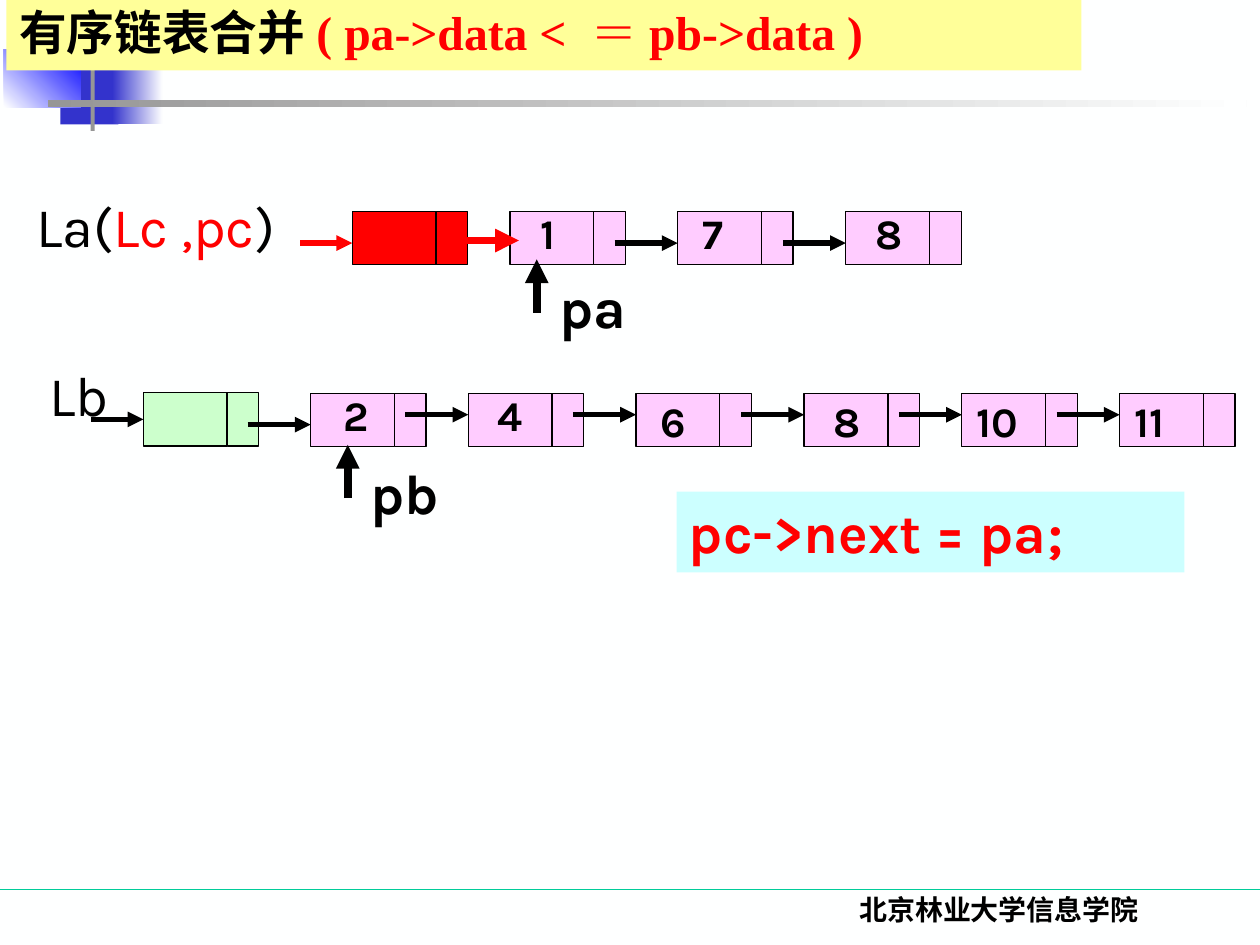
import pptx
import pptx.util
import pptx.oxml.ns
from lxml import etree
from pptx.dml.color import RGBColor
from pptx.enum.shapes import MSO_CONNECTOR, MSO_SHAPE
from pptx.enum.text import MSO_ANCHOR, MSO_AUTO_SIZE, PP_ALIGN
from pptx.util import Cm, Pt

COLORS = {
    "paper": "FEFFFF", "black": "000000", "red": "FF0000", "pink": "FFCCFF",
    "mint": "CCFFCC", "cyan": "CCFFFF", "yellow": "FFFF99", "navy": "3333CC",
    "blue": "0000FF", "gray": "969696", "green": "00CC99",
}
DATA_W, NEXT_W, NODE_H = 1.69, 0.64, 1.07
LINK = 1.27
LA_Y, LB_Y = 4.26, 7.94


def rgb(name):
    return RGBColor.from_string(COLORS[name])


def add_rect(s, x, y, w, h, fill, fade_to=None, angle=0, border=False):
    sp = s.shapes.add_shape(MSO_SHAPE.RECTANGLE, Cm(x), Cm(y), Cm(w), Cm(h))
    sp.shadow.inherit = False
    if fade_to:
        sp.fill.gradient()
        sp.fill.gradient_angle = angle
        for stop, color in zip(sp.fill.gradient_stops, (fill, fade_to)):
            stop.color.rgb = rgb(color)
    else:
        sp.fill.solid()
        sp.fill.fore_color.rgb = rgb(fill)
    if border:
        sp.line.color.rgb = rgb("black")
        sp.line.width = Pt(0.75)
    else:
        sp.line.fill.background()
    return sp


def add_line(s, x1, y1, x2, y2, color="black", width=3, arrow=True):
    c = s.shapes.add_connector(MSO_CONNECTOR.STRAIGHT, Cm(x1), Cm(y1), Cm(x2), Cm(y2))
    c.line.color.rgb = rgb(color)
    c.line.width = Pt(width)
    if arrow:
        etree.SubElement(c.line._get_or_add_ln(), pptx.oxml.ns.qn("a:tailEnd"), type="triangle")
    etree.SubElement(c.element.spPr, pptx.oxml.ns.qn("a:effectLst"))
    return c


def set_text(tf, runs, size, bold, font=None):
    p = tf.paragraphs[0]
    p.font.size = Pt(size)
    p.font.bold = bold
    if font:
        p.font.name = font
    for text, color in runs:
        r = p.add_run()
        r.text = text
        r.font.color.rgb = rgb(color)
    return p


def add_text(s, x, y, w, h, runs, size=32, bold=True, font="Karla", wrap=False):
    tf = s.shapes.add_textbox(Cm(x), Cm(y), Cm(w), Cm(h)).text_frame
    tf.word_wrap = wrap
    tf.auto_size = MSO_AUTO_SIZE.SHAPE_TO_FIT_TEXT
    return set_text(tf, runs, size, bold, font)


def add_node(s, x, y, fill):
    data = add_rect(s, x, y, DATA_W, NODE_H, fill, border=True)
    add_rect(s, x + DATA_W, y, NEXT_W, NODE_H, fill, border=True)
    return data


def add_values(s, y, nodes):
    for x, text_x, text_y, value in nodes:
        add_node(s, x, y, "pink")
        add_text(s, text_x, text_y, 0.5 + 0.49 * len(value), 1.27, [(value, "black")], 24)


def add_links(s, y, targets):
    for x in targets:
        add_line(s, x - LINK, y, x, y)


def add_pointer(s, x, tip_y, label, label_x, label_y):
    add_line(s, x, tip_y + 1.07, x, tip_y, width=4.5)
    add_text(s, label_x, label_y, 1.92, 1.63, [(label, "black")])


def add_decoration(s):
    add_line(s, 0, 17.93, 25.4, 17.93, "green", 0.75, arrow=False)
    add_rect(s, 1.22, 1.19, 1.17, 1.32, "navy")
    add_rect(s, 2.26, 1.19, 1.02, 1.32, "navy", "paper")
    add_rect(s, 0.08, 0.99, 1.55, 1.17, "paper", "blue", 45)
    add_rect(s, 1.83, -0.28, 0.08, 2.92, "gray")
    add_rect(s, 0.97, 2.01, 24.16, 0.15, "gray", "paper")
    p = add_text(s, 14.88, 17.86, 10.52, 1.27, [("北京林业大学信息学院", "black")],
                 16, font="Times New Roman", wrap=True)
    p.alignment = PP_ALIGN.CENTER


def format_title(s):
    title = s.shapes.title
    title.element.getparent().append(title.element)
    title.left, title.top, title.width, title.height = Cm(0.13), Cm(0), Cm(21.67), Cm(1.42)
    title.fill.solid()
    title.fill.fore_color.rgb = rgb("yellow")
    tf = title.text_frame
    tf.auto_size = MSO_AUTO_SIZE.NONE
    tf.vertical_anchor = MSO_ANCHOR.MIDDLE
    p = set_text(tf, [("有序链表合并", "black"), ("( pa->data < ＝pb->data )", "red")], 27.2, True)
    p.alignment = PP_ALIGN.LEFT
    p.line_spacing = 0.9
    for r, font in zip(p.runs, ("Noto Sans CJK SC", "Times New Roman")):
        r.font.name = font
        etree.SubElement(r.font._element, pptx.oxml.ns.qn("a:ea"), typeface=font)


def add_list_la(s):
    add_text(s, 0.48, 3.73, 6.25, 1.63,
             [("La(", "black"), ("Lc ,pc", "red"), (")", "black")], bold=False, wrap=True)
    add_line(s, 6.05, 4.9, 7.1, 4.9, "red")
    add_node(s, 7.1, LA_Y, "red")
    add_values(s, LA_Y, [(10.28, 10.64, 4.06, "1"), (13.66, 13.92, 4.06, "7"),
                         (17.05, 17.4, 4.06, "8")])
    add_line(s, 9.19, 4.85, 10.46, 4.85, "red", 4.5)
    add_links(s, 4.9, (13.66, 17.05))
    add_pointer(s, 10.82, 5.23, "pa", 11.02, 5.36)


def add_list_lb(s):
    nodes = [(6.26, 6.68, 7.72, "2"), (9.44, 9.78, 7.72, "4"), (12.82, 13.06, 7.85, "6"),
             (16.21, 16.56, 7.85, "8"), (19.39, 19.43, 7.85, "10"), (22.57, 22.63, 7.85, "11")]
    add_values(s, LB_Y, nodes)
    add_links(s, 8.36, [node[0] for node in nodes[1:]])
    head = add_node(s, 2.89, 7.92, "mint")
    add_links(s, 8.56, [nodes[0][0]])
    entry_y = 7.92 + NODE_H / 2
    add_line(s, 1.83, entry_y, 2.89, entry_y).end_connect(head, 1)
    add_text(s, 0.74, 7.14, 1.78, 1.63, [("Lb", "black")], bold=False)
    add_pointer(s, 7.01, 8.97, "pb", 7.21, 9.12)


def add_statement(s):
    sp = add_rect(s, 13.64, 9.91, 10.24, 1.63, "cyan")
    tf = sp.text_frame
    tf.word_wrap = True
    tf.auto_size = MSO_AUTO_SIZE.SHAPE_TO_FIT_TEXT
    tf.vertical_anchor = MSO_ANCHOR.TOP
    p = set_text(tf, [("pc->next = pa;", "red")], 32, True, "Karla")
    p.alignment = PP_ALIGN.LEFT


def main():
    prs = pptx.Presentation()
    prs.slide_width, prs.slide_height = Cm(25.4), Cm(19.05)
    s = prs.slides.add_slide(prs.slide_layouts[5])
    s.background.fill.solid()
    s.background.fill.fore_color.rgb = rgb("paper")
    add_decoration(s)
    format_title(s)
    add_list_la(s)
    add_list_lb(s)
    add_statement(s)
    prs.save("out.pptx")


if __name__ == "__main__":
    main()
